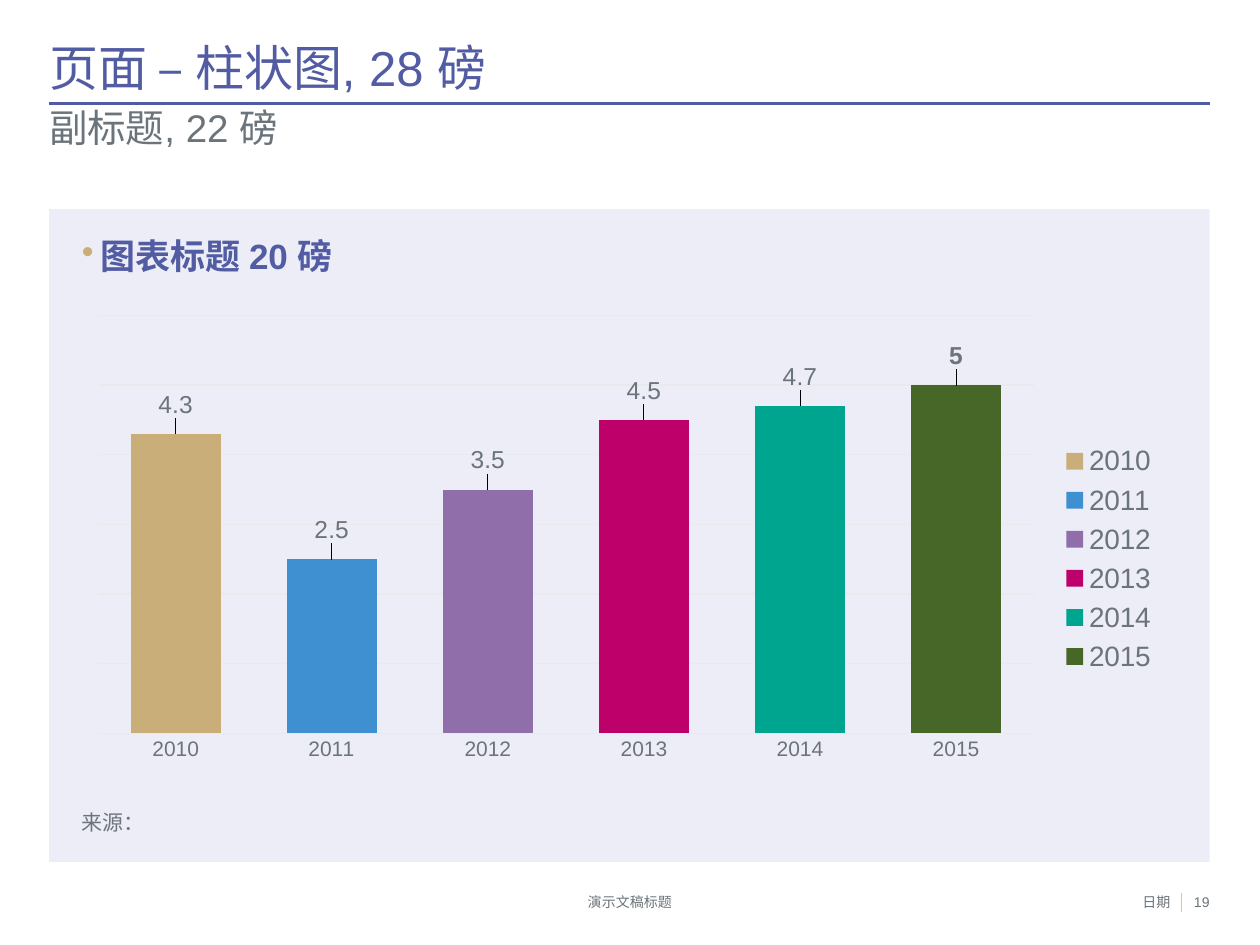
from dataclasses import dataclass

from lxml import etree
from pptx import Presentation
from pptx.chart.data import CategoryChartData
from pptx.dml.color import RGBColor
from pptx.enum.chart import XL_CHART_TYPE, XL_LABEL_POSITION, XL_LEGEND_POSITION, XL_TICK_MARK
from pptx.enum.shapes import MSO_CONNECTOR, MSO_SHAPE
from pptx.enum.text import MSO_ANCHOR, PP_ALIGN
from pptx.oxml import parse_xml
from pptx.oxml.ns import nsdecls, qn
from pptx.util import Inches, Pt


@dataclass(frozen=True)
class Theme:
    font: str = "Arial"
    accent: str = "525CA3"
    text: str = "6B747B"
    panel: str = "EDEDF7"
    grid: str = "E9EAEB"
    divider: str = "C3C7CB"
    bullet: str = "CAAE7A"
    bars: tuple = ("CAAE7A", "3E90D0", "8F6EAA", "BE006B", "00A590", "476728")
    title_size: int = 28
    subtitle_size: int = 22
    chart_title_size: int = 20
    legend_size: int = 16
    label_size: int = 14
    small_size: int = 12
    footer_size: int = 8


def manual_layout(inner=False, edges=True, **fractions):
    """Chart layout element from fractions x, y, w, h."""
    target = '<c:layoutTarget val="inner"/>' if inner else ""
    modes = '<c:xMode val="edge"/><c:yMode val="edge"/>' if edges else ""
    values = "".join(f'<c:{key} val="{value}"/>' for key, value in fractions.items())
    return parse_xml(
        f'<c:layout {nsdecls("c")}><c:manualLayout>{target}{modes}{values}'
        "</c:manualLayout></c:layout>"
    )


class SlideBuilder:
    def __init__(self, slide, theme):
        self.slide = slide
        self.theme = theme

    def style_font(self, font, size, color=None, bold=False):
        font.name = self.theme.font
        font.size = Pt(size)
        font.bold = bold
        font.color.rgb = RGBColor.from_string(color or self.theme.text)

    def line(self, start, end, color, width):
        connector = self.slide.shapes.add_connector(
            MSO_CONNECTOR.STRAIGHT, *map(Inches, start + end)
        )
        connector.line.color.rgb = RGBColor.from_string(color)
        connector.line.width = Pt(width)
        etree.SubElement(connector._element.spPr, qn("a:effectLst"))

    def panel(self, box, color):
        shape = self.slide.shapes.add_shape(MSO_SHAPE.RECTANGLE, *map(Inches, box))
        shape.shadow.inherit = False
        shape.fill.solid()
        shape.fill.fore_color.rgb = RGBColor.from_string(color)
        shape.line.fill.background()

    def text(self, box, words, size, color=None, bold=False, align=PP_ALIGN.JUSTIFY,
             anchor=MSO_ANCHOR.TOP, spacing=0.9, bullet=None):
        frame = self.slide.shapes.add_textbox(*map(Inches, box)).text_frame
        frame.word_wrap = True
        frame.vertical_anchor = anchor
        frame.margin_left = frame.margin_right = frame.margin_top = frame.margin_bottom = 0
        paragraph = frame.paragraphs[0]
        paragraph.alignment = align
        paragraph.line_spacing = spacing
        if bullet:
            properties = paragraph._p.get_or_add_pPr()
            properties.set("marL", str(Inches(0.15)))
            properties.set("indent", str(Inches(-0.15)))
            bullet_color = etree.SubElement(properties, qn("a:buClr"))
            etree.SubElement(bullet_color, qn("a:srgbClr"), val=bullet)
            etree.SubElement(properties, qn("a:buChar"), char="•")
        run = paragraph.add_run()
        run.text = words
        self.style_font(run.font, size, color, bold)

    def column_chart(self, box, categories, values):
        theme = self.theme
        data = CategoryChartData()
        data.categories = categories
        data.add_series("Series 1", values)
        chart = self.slide.shapes.add_chart(
            XL_CHART_TYPE.COLUMN_CLUSTERED, *map(Inches, box), data
        ).chart
        chart.has_title = False
        self.style_font(chart.font, 10)

        # Axes
        grid_color = RGBColor.from_string(theme.grid)
        category_axis, value_axis = chart.category_axis, chart.value_axis
        category_axis.major_tick_mark = XL_TICK_MARK.NONE
        self.style_font(category_axis.tick_labels.font, theme.small_size)
        value_axis.minimum_scale, value_axis.maximum_scale = 0, 6
        value_axis.major_unit = 1
        value_axis.has_major_gridlines = True
        value_axis.visible = False
        for axis_format in (category_axis.format, value_axis.major_gridlines.format):
            axis_format.line.color.rgb = grid_color
            axis_format.line.width = Pt(0.75)

        # Legend
        chart.has_legend = True
        chart.legend.position = XL_LEGEND_POSITION.RIGHT
        chart.legend.include_in_layout = False
        self.style_font(chart.legend.font, theme.legend_size)
        chart.legend._element.find(qn("c:legendPos")).addnext(
            manual_layout(x=0.84, y=0.3, w=0.09, h=0.46)
        )

        # Columns, with the latest value in bold
        plot = chart.plots[0]
        plot.vary_by_categories = True
        plot.gap_width, plot.overlap = 73, -29
        for index, color in enumerate(theme.bars):
            point = plot.series[0].points[index]
            point.format.fill.solid()
            point.format.fill.fore_color.rgb = RGBColor.from_string(color)
            label = point.data_label
            self.style_font(label.font, theme.label_size, bold=index == len(values) - 1)
            label.position = XL_LABEL_POSITION.OUTSIDE_END
        for position in plot.series[0]._element.iter(qn("c:dLbl")):
            position.find(qn("c:idx")).addnext(manual_layout(edges=False, x=0, y=-0.02))

        # Plot area
        plot_area = chart._chartSpace.chart.plotArea
        for layout in plot_area.findall(qn("c:layout")):
            plot_area.remove(layout)
        plot_area.insert(0, manual_layout(inner=True, x=0, y=0.07, w=0.82, h=0.79))


def main():
    theme = Theme()
    presentation = Presentation()
    presentation.slide_width, presentation.slide_height = Inches(10), Inches(7.5)
    slide = presentation.slides.add_slide(presentation.slide_layouts[6])
    builder = SlideBuilder(slide, theme)
    left, right = 0.39, 9.6
    width = right - left

    # Heading
    builder.line((left, 0.82), (right, 0.82), theme.accent, 1.5)
    builder.text((left, 0.35, width, 0.42), "页面 – 柱状图, 28 磅", theme.title_size,
                 theme.accent, anchor=MSO_ANCHOR.MIDDLE)
    builder.text((left, 0.87, width, 0.51), "副标题, 22 磅", theme.subtitle_size)

    # Chart panel
    builder.panel((left, 1.66, width, 5.18), theme.panel)
    builder.text((0.65, 1.9, 4.28, 0.5), "图表标题 20 磅", theme.chart_title_size,
                 theme.accent, bold=True, bullet=theme.bullet)
    builder.column_chart((0.77, 2.21, 9.07, 4.2),
                         ("2010", "2011", "2012", "2013", "2014", "2015"),
                         (4.3, 2.5, 3.5, 4.5, 4.7, 5))
    builder.text((0.65, 6.45, 2.94, 0.25), "来源：", theme.small_size)

    # Footer
    builder.line((9.38, 7.09), (9.38, 7.24), theme.divider, 0.5)
    for x, box_width, words, align in (
        (1.37, 7.26, "演示文稿标题", PP_ALIGN.CENTER),
        (8.44, 0.85, "日期", PP_ALIGN.RIGHT),
        (9.26, 0.34, "19", PP_ALIGN.RIGHT),
    ):
        builder.text((x, 7.09, box_width, 0.13), words, theme.footer_size,
                     align=align, spacing=1.0)

    presentation.save("out.pptx")


if __name__ == "__main__":
    main()
